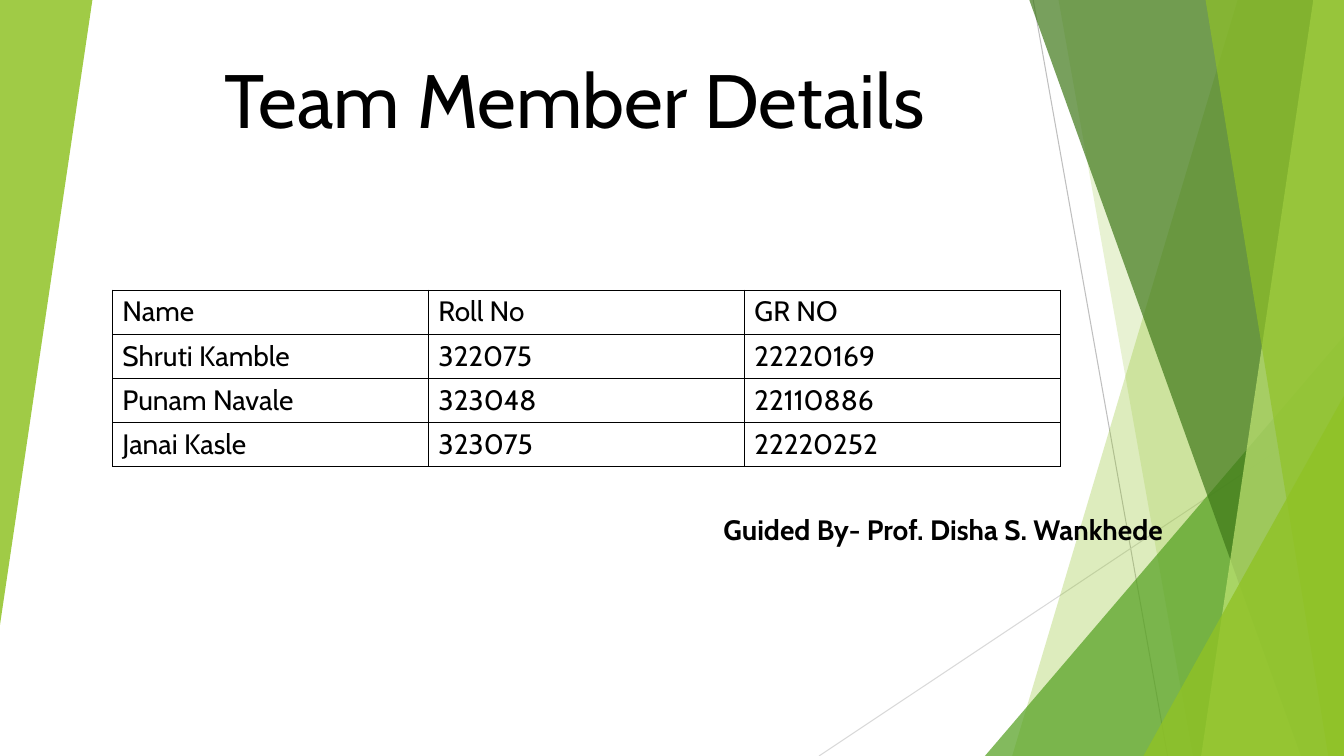
"""Builds a team member slide with a details table and layered green facets."""
from dataclasses import dataclass
from typing import Any

import lxml.etree
import pptx
import pptx.dml.color
import pptx.enum.shapes
import pptx.enum.text
import pptx.oxml.ns
import pptx.util

PX = 9525
WIDTH, HEIGHT = 1280, 720


@dataclass(frozen=True)
class Theme:
    font: str = "Cabin"
    ink: str = "000000"
    lime: str = "90C226"
    leaf: str = "54A021"
    forest: str = "3F7819"
    pale: str = "C0E474"
    ray: str = "BFBFBF"
    faint_ray: str = "D9D9D9"
    title_size: int = 54
    body_size: int = 20
    ray_width: float = 0.75
    border_width: float = 0.5


@dataclass(frozen=True)
class Ray:
    start: tuple[int, int]
    end: tuple[int, int]
    color: str


@dataclass(frozen=True)
class Facet:
    top_x: int
    bottom_x: int
    color: str
    opacity: int


@dataclass(frozen=True)
class Wedge:
    left: int
    top: int
    width: int
    height: int
    color: str
    opacity: int
    rotation: int = 0


@dataclass(frozen=True)
class Caption:
    text: str
    left: int
    top: int
    width: int
    height: int
    size: int
    bold: bool
    anchor: Any
    space_before: int


THEME = Theme()
ANCHOR = pptx.enum.text.MSO_ANCHOR

RAYS = [
    Ray((984, 0), (1112, HEIGHT), THEME.ray),
    Ray((WIDTH, 387), (780, HEIGHT), THEME.faint_ray),
]
BACKDROP = [
    Facet(1179, 964, THEME.lime, 30),
    Facet(1008, 1136, THEME.lime, 20),
    Wedge(938, 320, 342, 400, THEME.leaf, 72),
    Facet(980, 1239, THEME.forest, 70),
    Facet(1251, 1144, THEME.pale, 70),
    Facet(1148, 1265, THEME.lime, 65),
    Wedge(1089, 377, 191, 343, THEME.lime, 80),
    Wedge(0, 0, 88, 595, THEME.lime, 85, rotation=180),
]
CAPTIONS = [
    Caption("Team Member Details", 156, 50, 734, 92,
            THEME.title_size, False, ANCHOR.BOTTOM, 0),
    Caption("Guided By- Prof. Disha S. Wankhede", 640, 483, 477, 54,
            THEME.body_size, True, ANCHOR.TOP, 10),
]
MEMBERS = [
    ("Name", "Roll No", "GR NO"),
    ("Shruti Kamble", "322075", "22220169"),
    ("Punam Navale", "323048", "22110886"),
    ("Janai Kasle", "323075", "22220252"),
]
TABLE_LEFT, TABLE_TOP, COLUMN_WIDTH, ROW_HEIGHT = 107, 276, 301, 42


def px(*lengths: int) -> list[int]:
    return [length * PX for length in lengths]


def rgb(color: str) -> pptx.dml.color.RGBColor:
    return pptx.dml.color.RGBColor.from_string(color)


def add_xml(parent: Any, tag: str, **attributes: str) -> Any:
    return lxml.etree.SubElement(parent, pptx.oxml.ns.qn(tag), attributes)


def apply(target: Any, formats: dict[str, Any]) -> None:
    for attribute, value in formats.items():
        setattr(target, attribute, value)


def write(frame: Any, text: str, size: int, bold: bool = False) -> Any:
    paragraph = frame.paragraphs[0]
    run = paragraph.add_run()
    run.text = text
    apply(run.font, {"name": THEME.font, "size": pptx.util.Pt(size), "bold": bold})
    run.font.color.rgb = rgb(THEME.ink)
    return paragraph


def draw_ray(slide: Any, ray: Ray) -> None:
    line = slide.shapes.add_connector(
        pptx.enum.shapes.MSO_CONNECTOR.STRAIGHT, *px(*ray.start, *ray.end))
    line.line.color.rgb = rgb(ray.color)
    line.line.width = pptx.util.Pt(THEME.ray_width)
    add_xml(line.element.spPr, "a:effectLst")


def draw_backdrop(slide: Any, part: Facet | Wedge) -> None:
    if isinstance(part, Facet):
        outline = slide.shapes.build_freeform(part.top_x, -1, scale=PX)
        outline.add_line_segments(
            [(WIDTH, -1), (WIDTH, HEIGHT), (part.bottom_x, HEIGHT)], close=True)
        pane = outline.convert_to_shape()
    else:
        pane = slide.shapes.add_shape(
            pptx.enum.shapes.MSO_SHAPE.ISOSCELES_TRIANGLE,
            *px(part.left, part.top, part.width, part.height))
        pane.adjustments[0] = 1.0
        pane.rotation = part.rotation
    pane.shadow.inherit = False
    pane.line.fill.background()
    pane.fill.solid()
    pane.fill.fore_color.rgb = rgb(part.color)
    tint = pane.element.spPr.find(pptx.oxml.ns.qn("a:solidFill"))[0]
    add_xml(tint, "a:alpha", val=str(part.opacity * 1000))


def draw_caption(slide: Any, caption: Caption) -> None:
    frame = slide.shapes.add_textbox(
        *px(caption.left, caption.top, caption.width, caption.height)).text_frame
    apply(frame, {"word_wrap": True, "vertical_anchor": caption.anchor})
    paragraph = write(frame, caption.text, caption.size, caption.bold)
    apply(paragraph, {"alignment": pptx.enum.text.PP_ALIGN.RIGHT,
                      "space_before": pptx.util.Pt(caption.space_before)})


def draw_cell(cell: Any, text: str) -> None:
    write(cell.text_frame, text, THEME.body_size)
    cell.vertical_anchor = ANCHOR.MIDDLE
    properties = cell._tc.get_or_add_tcPr()
    for side in ("a:lnL", "a:lnR", "a:lnT", "a:lnB"):
        border = add_xml(properties, side, w=str(pptx.util.Pt(THEME.border_width)))
        add_xml(add_xml(border, "a:solidFill"), "a:srgbClr", val=THEME.ink)
    cell.fill.background()


def draw_members(slide: Any) -> None:
    rows, columns = len(MEMBERS), len(MEMBERS[0])
    members = slide.shapes.add_table(rows, columns, *px(
        TABLE_LEFT, TABLE_TOP, COLUMN_WIDTH * columns, ROW_HEIGHT * rows)).table
    apply(members, {"first_row": False, "horz_banding": False})
    for row, entries in enumerate(MEMBERS):
        for column, entry in enumerate(entries):
            draw_cell(members.cell(row, column), entry)


def main() -> None:
    deck = pptx.Presentation()
    deck.slide_width, deck.slide_height = px(WIDTH, HEIGHT)
    slide = deck.slides.add_slide(deck.slide_layouts[6])
    for ray in RAYS:
        draw_ray(slide, ray)
    for part in BACKDROP:
        draw_backdrop(slide, part)
    for caption in CAPTIONS:
        draw_caption(slide, caption)
    draw_members(slide)
    deck.save("out.pptx")


if __name__ == "__main__":
    main()
